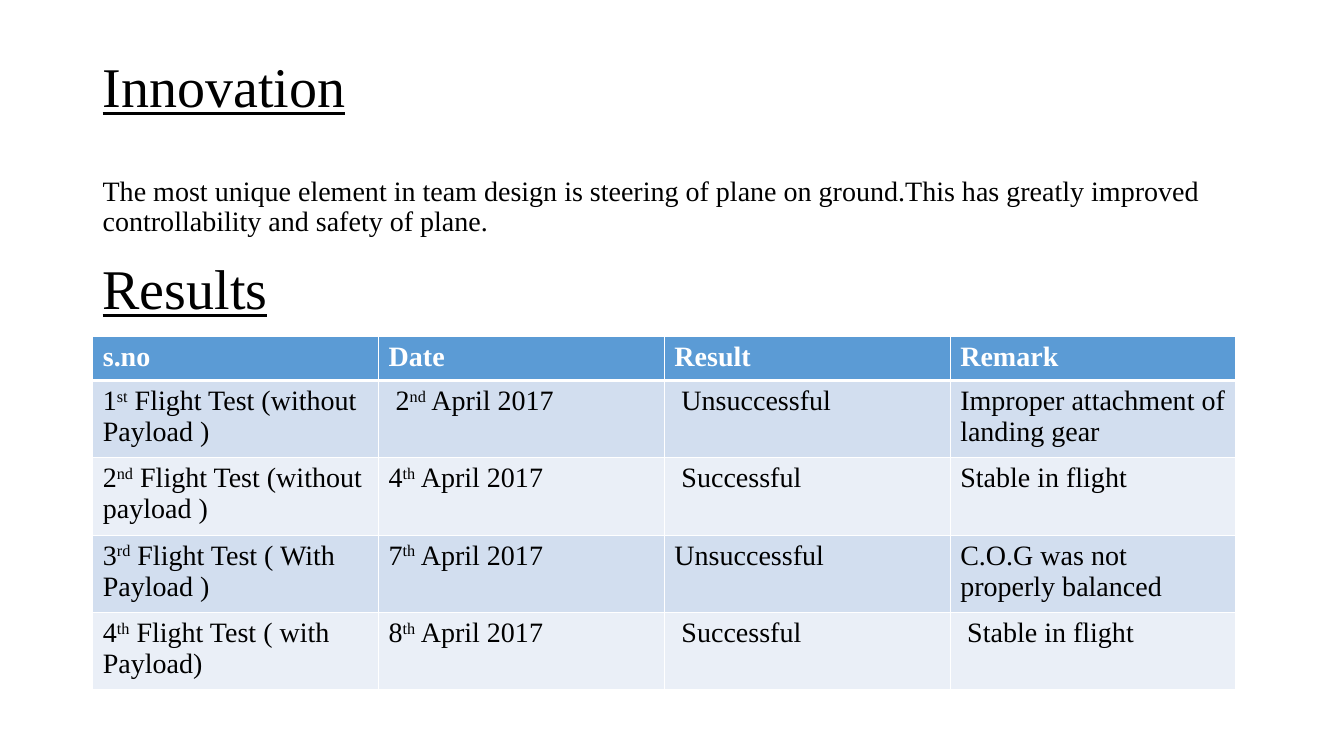
from lxml.etree import SubElement
from pptx import Presentation
from pptx.dml.color import RGBColor
from pptx.enum.text import MSO_ANCHOR
from pptx.oxml.ns import qn
from pptx.util import Inches, Pt

FONT = "Times New Roman"
BLACK, WHITE, BLUE = "000000", "FFFFFF", "5B9BD5"
BANDS = ("D2DEEF", "EAEFF7")
LEFT, TEXT_W = 0.92, 11.5
COL_W, HEAD_H, ROW_H = 2.835, 0.41, 0.72
HEADING, BODY = 40, 20

# Text between carets is superscript
RESULTS = [
    ["s.no", "Date", "Result", "Remark"],
    ["1^st^ Flight Test (without Payload )", " 2^nd^ April 2017",
     " Unsuccessful", "Improper attachment of landing gear"],
    ["2^nd^ Flight Test (without payload )", "4^th^ April 2017",
     " Successful", "Stable in flight"],
    ["3^rd^ Flight Test ( With Payload )", "7^th^ April 2017",
     "Unsuccessful", "C.O.G was not properly balanced"],
    ["4^th^ Flight Test ( with Payload)", "8^th^ April 2017",
     " Successful", " Stable in flight"],
]


def rgb(color):
    return RGBColor.from_string(color)


def add_run(p, text, size, color=BLACK, bold=False, underline=False):
    r = p.add_run()
    r.text = text
    r.font.name, r.font.size = FONT, Pt(size)
    r.font.bold, r.font.underline = bold, underline
    r.font.color.rgb = rgb(color)
    return r


def add_text(s, top, height, paragraphs, anchor):
    """Each paragraph is (text, size, underline, space before)."""
    tf = s.shapes.add_textbox(Inches(LEFT), Inches(top),
                              Inches(TEXT_W), Inches(height)).text_frame
    tf.word_wrap = True
    tf.vertical_anchor = anchor
    for i, (text, size, underline, before) in enumerate(paragraphs):
        p = tf.add_paragraph() if i else tf.paragraphs[0]
        p.line_spacing = 0.9
        p.space_before = Pt(before)
        add_run(p, text, size, underline=underline)


def set_borders(cell, top, bottom):
    tc_pr = cell._tc.get_or_add_tcPr()
    for side, width in (("L", 1), ("R", 1), ("T", top), ("B", bottom)):
        ln = SubElement(tc_pr, qn(f"a:ln{side}"), w=str(Pt(width)))
        fill = SubElement(ln, qn("a:solidFill"))
        SubElement(fill, qn("a:srgbClr"), val=WHITE)


def fill_cell(cell, text, row):
    head = row == 0
    set_borders(cell, top=3 if row == 1 else 1, bottom=3 if head else 1)
    cell.fill.solid()
    cell.fill.fore_color.rgb = rgb(BLUE if head else BANDS[(row - 1) % 2])
    p = cell.text_frame.paragraphs[0]
    for i, part in enumerate(text.split("^")):
        r = add_run(p, part, BODY, WHITE if head else BLACK, bold=head)
        if i % 2:
            r._r.get_or_add_rPr().set("baseline", "30000")


def add_results_table(s, top, rows):
    n_cols = len(rows[0])
    height = HEAD_H + ROW_H * (len(rows) - 1)
    table = s.shapes.add_table(len(rows), n_cols, Inches(LEFT), Inches(top),
                               Inches(COL_W * n_cols), Inches(height)).table
    for col in table.columns:
        col.width = Inches(COL_W)
    for i, texts in enumerate(rows):
        table.rows[i].height = Inches(ROW_H if i else HEAD_H)
        for j, text in enumerate(texts):
            fill_cell(table.cell(i, j), text, i)


def main():
    prs = Presentation()
    prs.slide_width, prs.slide_height = Inches(13.33), Inches(7.5)
    s = prs.slides.add_slide(prs.slide_layouts[6])

    # Innovation heading and statement
    add_text(s, 0.4, 2.14, [
        ("Innovation", HEADING, True, 0),
        ("The most unique element in team design is steering of plane on "
         "ground.This has greatly improved controllability and safety of "
         "plane.", BODY, False, 41),
    ], MSO_ANCHOR.MIDDLE)

    # Results heading and flight test table
    add_text(s, 2.54, 0.8, [("Results", HEADING, True, 0)], MSO_ANCHOR.TOP)
    add_results_table(s, 3.34, RESULTS)

    prs.save("out.pptx")


if __name__ == "__main__":
    main()
